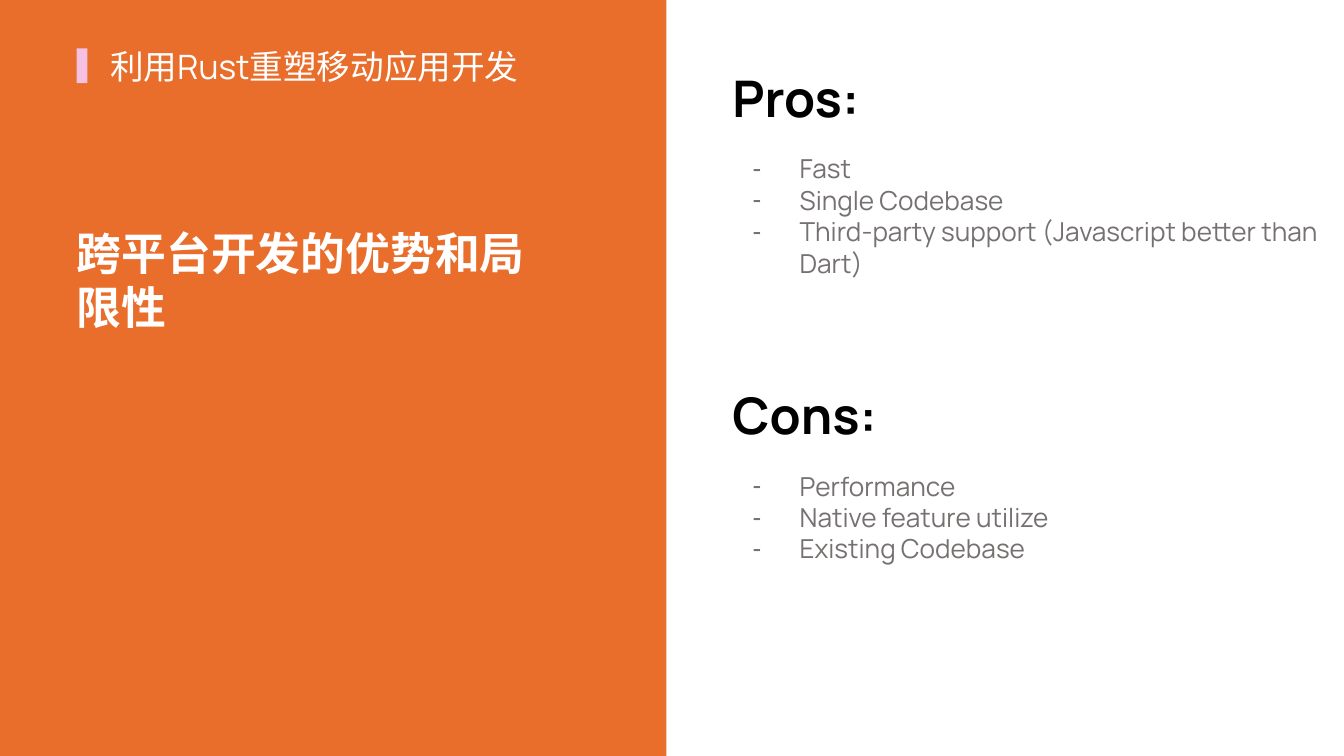
from lxml import etree
from pptx import Presentation
from pptx.dml.color import RGBColor
from pptx.enum import shapes
from pptx.oxml import ns
from pptx.util import Inches, Pt

FONT = "Manrope"
ORANGE, PINK, WHITE, BLACK, GRAY = "E96D2B", "F5C1E3", "FFFFFF", "000000", "767171"

BLOCKS = [
    (0, 0, 4.96, 5.63, ORANGE),
    (5, 0, 5, 5.62, WHITE),
    (0.57, 0.36, 0.08, 0.26, PINK),
]
TITLES = [
    ("利用Rust重塑移动应用开发", (0.77, 0.29, 5.01, 0.4), 18, False),
    ("跨平台开发的优势和局限性", (0.52, 1.63, 3.71, 0.91), 24, True),
]
LISTS = [
    ("Pros:", (5.4, 0.45, 4.57, 1.68),
     ["Fast", "Single Codebase", "Third-party support (Javascript better than Dart)"]),
    ("Cons:", (5.4, 2.81, 4.57, 1.45),
     ["Performance", "Native feature utilize", "Existing Codebase"]),
]


def rgb(color):
    return RGBColor.from_string(color)


def add_block(s, x, y, w, h, color):
    sp = s.shapes.add_shape(shapes.MSO_SHAPE.RECTANGLE, *map(Inches, (x, y, w, h)))
    sp.shadow.inherit = False
    sp.fill.solid()
    sp.fill.fore_color.rgb = rgb(color)
    sp.line.fill.background()


def add_frame(s, box):
    tf = s.shapes.add_textbox(*map(Inches, box)).text_frame
    tf.word_wrap = True
    tf.margin_left = tf.margin_right = tf.margin_top = tf.margin_bottom = Inches(0.05)
    return tf


def write(p, text, size=14, color=GRAY, bold=False, after=0):
    p.space_after = Pt(after)
    r = p.add_run()
    r.text = text
    r.font.name = FONT
    r.font.size = Pt(size)
    r.font.bold = bold
    r.font.color.rgb = rgb(color)


def add_bullet(p, color=GRAY):
    pr = p._p.get_or_add_pPr()
    pr.set("marL", str(Inches(0.5)))
    pr.set("indent", str(Inches(-0.35)))
    clr = etree.SubElement(pr, ns.qn("a:buClr"))
    etree.SubElement(clr, ns.qn("a:srgbClr"), val=color)
    etree.SubElement(pr, ns.qn("a:buFont"), typeface="Arial")
    etree.SubElement(pr, ns.qn("a:buChar"), char="-")


def main():
    prs = Presentation()
    prs.slide_width = Inches(10)
    prs.slide_height = prs.slide_width * 9 // 16
    s = prs.slides.add_slide(prs.slide_layouts[6])

    for block in BLOCKS:
        add_block(s, *block)
    for title, box, size, bold in TITLES:
        write(add_frame(s, box).paragraphs[0], title, size=size, color=WHITE, bold=bold)
    for heading, box, items in LISTS:
        tf = add_frame(s, box)
        write(tf.paragraphs[0], heading, size=27, color=BLACK, bold=True, after=13.5)
        for item in items:
            p = tf.add_paragraph()
            write(p, item)
            add_bullet(p)

    prs.save("out.pptx")


if __name__ == "__main__":
    main()
